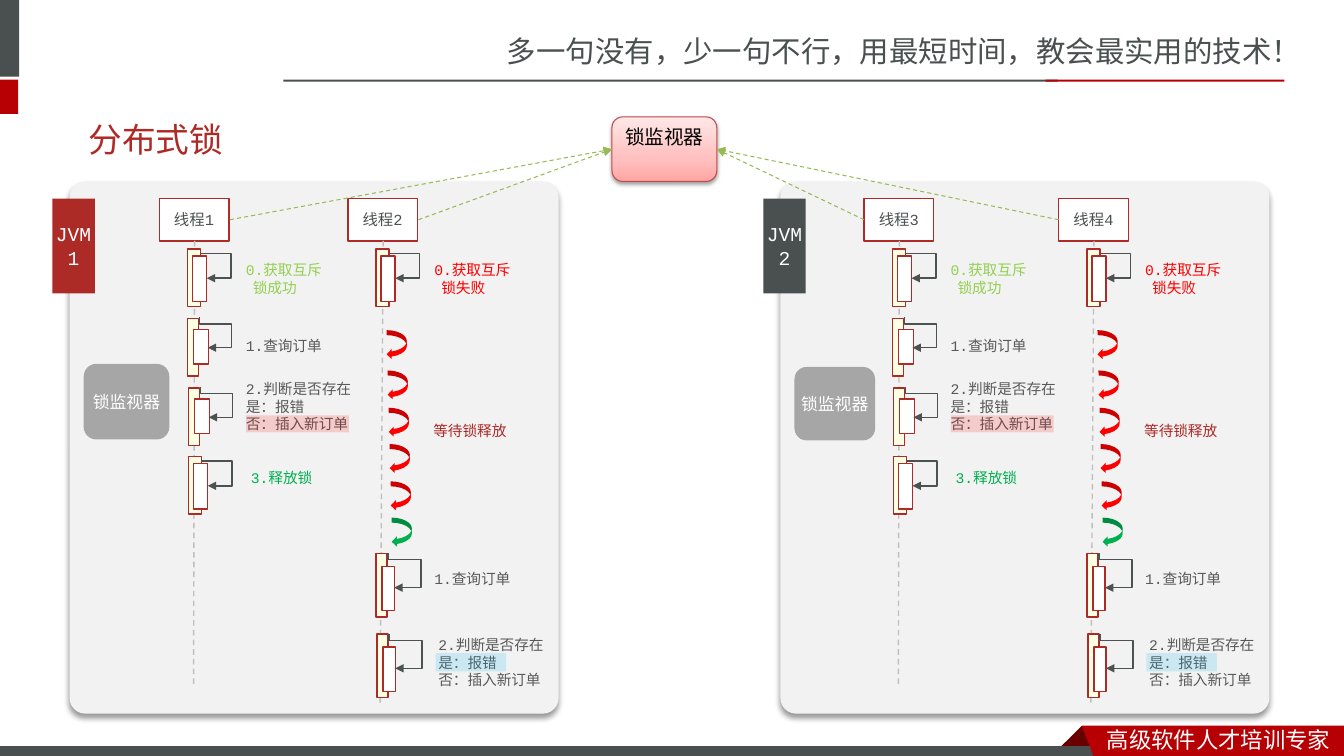
import copy
import pptx
import pptx.util
import pptx.dml.color
import pptx.enum.dml
import pptx.enum.shapes
import pptx.enum.text
import pptx.oxml
import pptx.oxml.ns

Inches, Pt = pptx.util.Inches, pptx.util.Pt
qn = pptx.oxml.ns.qn
SHAPE = pptx.enum.shapes.MSO_SHAPE
LINK = pptx.enum.shapes.MSO_CONNECTOR
ANCHOR = pptx.enum.text.MSO_ANCHOR
CENTER = pptx.enum.text.PP_ALIGN.CENTER
MONO, CJK = "Courier New", "Noto Sans CJK SC"
RED, DARK, GREY, INK = "AD2A26", "49504F", "595959", "4C5252"
BRIGHT_RED, GREEN = "FF0000", "00B050"

# Activation bars: sizes and offsets from the top left of the outer bar
LOCK = dict(outer=(0.13, 0.57), inner=(0.05, 0.07, 0.14, 0.45),
            call=(0.11, 0.02, 0.08, 0.27), bend=(0.088, 4.015))
STEP = dict(outer=(0.11, 0.57), inner=(0.06, 0.11, 0.15, 0.34),
            call=(0.12, -0.01, 0.08, 0.3), bend=(0.21, 3.942))
RETRY = dict(outer=(0.11, 0.63), inner=(0.06, 0.13, 0.12, 0.44),
             call=(0.12, 0, 0.06, 0.34), bend=(0.181, 5.466))
QUERY = ["1.查询订单"]
CHECK = ["2.判断是否存在", "是：报错", "否：插入新订单"]


def color(hex_code):
    return pptx.dml.color.RGBColor.from_string(hex_code)


def add_xml(parent, tag, body="", **attrs):
    attr_text = "".join(f' {k}="{v}"' for k, v in attrs.items())
    ns = pptx.oxml.ns.nsdecls("a")
    parent.append(pptx.oxml.parse_xml(f"<a:{tag} {ns}{attr_text}>{body}</a:{tag}>"))


def paint(shape, fill, line=None, width=1):
    shape.shadow.inherit = False
    shape.fill.solid()
    shape.fill.fore_color.rgb = color(fill)
    if line:
        shape.line.color.rgb = color(line)
        shape.line.width = Pt(width)
    else:
        shape.line.fill.background()


def box(s, x, y, w, h, fill, line=None, kind=SHAPE.RECTANGLE):
    sp = s.shapes.add_shape(kind, Inches(x), Inches(y), Inches(w), Inches(h))
    paint(sp, fill, line)
    return sp


def polygon(s, points, fill):
    corners = [(Inches(x), Inches(y)) for x, y in points]
    builder = s.shapes.build_freeform(*corners[0])
    builder.add_line_segments(corners[1:], close=True)
    paint(builder.convert_to_shape(), fill)


def drop_shadow(sp, blur, dist, alpha):
    effects = sp._element.spPr.find(qn("a:effectLst"))
    body = f'<a:srgbClr val="000000"><a:alpha val="{alpha * 1000}"/></a:srgbClr>'
    add_xml(effects, "outerShdw", body, blurRad=Pt(blur), dist=Pt(dist),
            dir=5400000, algn="t", rotWithShape=0)


def write(sp, lines, size, hex_code, font=MONO):
    tf = sp.text_frame
    tf.word_wrap = True
    tf.text = "\n".join(lines)
    for p in tf.paragraphs:
        for r in p.runs:
            r.font.size, r.font.name = Pt(size), font
            r.font.color.rgb = color(hex_code)
            add_xml(r._r.get_or_add_rPr(), "ea", typeface=font)
    return tf


def label(s, x, y, w, h, lines, size, hex_code, font=MONO):
    tb = s.shapes.add_textbox(Inches(x), Inches(y), Inches(w), Inches(h))
    return write(tb, lines, size, hex_code, font)


def tag(sp, text, size, hex_code, inset=0.0, anchor=ANCHOR.MIDDLE):
    tf = write(sp, [text], size, hex_code)
    tf.margin_left = tf.margin_right = Inches(inset)
    tf.vertical_anchor = anchor
    tf.paragraphs[0].alignment = CENTER


def line(s, x1, y1, x2, y2, hex_code, width=1, dashed=False, arrow=False, kind=LINK.STRAIGHT):
    c = s.shapes.add_connector(kind, Inches(x1), Inches(y1), Inches(x2), Inches(y2))
    c.line.color.rgb = color(hex_code)
    c.line.width = Pt(width)
    if dashed:
        c.line.dash_style = pptx.enum.dml.MSO_LINE.DASH
    if arrow:
        add_xml(c.line._get_or_add_ln(), "tailEnd", type="triangle")
    add_xml(c._element.spPr, "effectLst")
    return c


def self_call(s, x, y, w, h, bend):
    c = line(s, x, y, x + w, y + h, INK, arrow=True, kind=LINK.ELBOW)
    # The box is turned a quarter about its centre
    c.left, c.top = Inches(x + (w - h) / 2), Inches(y + (h - w) / 2)
    c.width, c.height = Inches(h), Inches(w)
    xfrm = c._element.spPr.find(qn("a:xfrm"))
    xfrm.set("rot", "16200000")
    xfrm.set("flipH", "1")
    geom = c._element.spPr.find(qn("a:prstGeom"))
    geom.set("prst", "bentConnector4")
    guides = geom.find(qn("a:avLst"))
    for i, ratio in enumerate(bend, 1):
        add_xml(guides, "gd", name=f"adj{i}", fmla=f"val {round(ratio * 100000)}")


def activation(s, x, y, style):
    dx, dy, w, h = style["call"]
    call = (s, x + dx, y + dy, w, h, style["bend"])
    if style is LOCK:
        self_call(*call)
    box(s, x, y, *style["outer"], "FFFFE4", RED)
    dx, dy, w, h = style["inner"]
    box(s, x + dx, y + dy, w, h, "FFFFFF", RED)
    if style is not LOCK:
        self_call(*call)


def highlight(s, x, y, w, h, fill):
    sp = box(s, x, y, w, h, fill)
    add_xml(sp._element.spPr.find(".//" + qn("a:srgbClr")), "alpha", val=16000)


def thread_head(s, x, name, foot_dx, foot):
    tag(box(s, x, 1.97, 0.69, 0.42, "FFFFFF", RED), name, 11, INK, 0.1)
    line(s, x + 0.35, 2.39, x + foot_dx, foot, "BFBFBF", dashed=True)


def lock_result(s, x, result, hex_code):
    activation(s, x + 0.28, 2.47, LOCK)
    tf = label(s, x + 0.76, 2.54, 0.97, 0.45, ["0.获取互斥", result], 10.5, hex_code)
    tf.paragraphs[1]._p.get_or_add_pPr().set("marL", str(Inches(0.07)))


def winning_thread(s, x, name):
    thread_head(s, x, name, 0.34, 6.8)
    lock_result(s, x, "锁成功", "92D050")
    activation(s, x + 0.28, 3.16, STEP)
    activation(s, x + 0.29, 3.85, STEP)
    activation(s, x + 0.29, 4.53, LOCK)
    label(s, x + 0.76, 3.29, 1.16, 0.28, QUERY, 10.5, GREY)
    label(s, x + 0.76, 3.72, 1.4, 0.63, CHECK, 10.5, GREY)
    highlight(s, x + 0.86, 4.12, 1.02, 0.17, BRIGHT_RED)
    label(s, x + 0.81, 4.6, 1.09, 0.28, ["3.释放锁"], 10.5, GREEN)


def waiting_thread(s, x, name):
    thread_head(s, x, name, 0.32, 6.97)
    lock_result(s, x, "锁失败", BRIGHT_RED)
    label(s, x + 0.75, 4.14, 1.19, 0.28, ["等待锁释放"], 10.5, RED)
    # Retries until the lock is free
    for i, y in enumerate([3.32, 3.72, 4.09, 4.45, 4.82, 5.18]):
        fill = GREEN if i == 5 else BRIGHT_RED
        box(s, x + 0.34 + 0.01 * i, y, 0.29, 0.2, fill, kind=SHAPE.CURVED_DOWN_ARROW).rotation = 90
    activation(s, x + 0.28, 5.49, RETRY)
    activation(s, x + 0.29, 6.29, RETRY)
    label(s, x + 0.76, 5.6, 1.16, 0.28, QUERY, 10.5, GREY)
    label(s, x + 0.8, 6.26, 1.4, 0.63, CHECK, 10.5, GREY)
    highlight(s, x + 0.87, 6.48, 0.7, 0.18, "00B0F0")


def jvm_panel(s, x, name, fill, first, second, monitor):
    panel = box(s, x, 1.8, 4.85, 5.28, "F2F2F2", kind=SHAPE.ROUNDED_RECTANGLE)
    panel.adjustments[0] = 0.032
    drop_shadow(panel, 4, 3, 40)
    for draw, (thread_x, thread_name) in ((winning_thread, first), (waiting_thread, second)):
        draw(s, thread_x, thread_name)
    tag(box(s, x - 0.17, 1.97, 0.42, 0.94, fill), name, 14, "FFFFFF")
    tag(box(s, *monitor, "A6A6A6", kind=SHAPE.ROUNDED_RECTANGLE), "锁监视器", 12, "FFFFFF")


def shared_monitor(s, x, y, w, h):
    sp = box(s, x, y, w, h, "FFC0BF", "BF4C48", SHAPE.ROUNDED_RECTANGLE)
    sp.line.width = Pt(0.75)
    sp.fill.gradient()
    sp.fill.gradient_angle = 90
    stops = sp._element.find(".//" + qn("a:gsLst"))
    stops.append(copy.deepcopy(stops[0]))
    tones = [(0, "FFA6A5"), (0.35, "FFC0BF"), (1, "FFE7E7")]
    for stop, (position, tone) in zip(sp.fill.gradient_stops, tones):
        stop.position, stop.color.rgb = position, color(tone)
    drop_shadow(sp, 3.1, 1.6, 38)
    tag(sp, "锁监视器", 14, "000000", anchor=ANCHOR.TOP)
    # Threads report to the shared monitor
    for start, end in ((2.28, x), (4.15, x), (8.57, x + w), (10.5, x + w)):
        line(s, start, 2.18, end, y + h / 2, "98B955", 0.75, dashed=True, arrow=True)


def page_frame(s):
    label(s, 4.93, 0.28, 8.41, 0.47, ["多一句没有，少一句不行，用最短时间，教会最实用的技术！"], 21, DARK, CJK)
    box(s, -0.06, 0, 0.25, 0.76, DARK)
    box(s, -0.06, 0.79, 0.24, 0.34, "B60004")
    box(s, 2.81, 0.79, 7.68, 0.02, DARK)
    box(s, 10.37, 0.79, 2.37, 0.02, "B60004")
    # Footer ribbon
    polygon(s, [(10.73, 7.2), (10.95, 7.42), (10.94, 7.43), (10.52, 7.43), (10.51, 7.42)], "680000")
    box(s, -0.01, 7.41, 10.96, 0.09, DARK, DARK)
    polygon(s, [(10.73, 7.2), (13.33, 7.2), (13.33, 7.54), (10.86, 7.54)], "B60004")
    label(s, 10.88, 7.15, 2.45, 0.37, ["高级软件人才培训专家"], 16, "FFFFFF", CJK)


def main():
    prs = pptx.Presentation()
    prs.slide_width, prs.slide_height = Inches(13.33), Inches(7.5)
    s = prs.slides.add_slide(prs.slide_layouts[6])
    page_frame(s)
    title = label(s, 0.78, 1.13, 11.7, 0.5, ["分布式锁"], 24, RED, "Arial")
    title.vertical_anchor = ANCHOR.MIDDLE
    jvm_panel(s, 7.74, "JVM2", DARK, (8.57, "线程3"), (10.5, "线程4"), (7.88, 3.64, 0.8, 0.73))
    jvm_panel(s, 0.69, "JVM1", "AD2B26", (1.58, "线程1"), (3.45, "线程2"), (0.83, 3.61, 0.85, 0.75))
    shared_monitor(s, 6.07, 1.16, 1.04, 0.64)
    prs.save("out.pptx")


if __name__ == "__main__":
    main()
